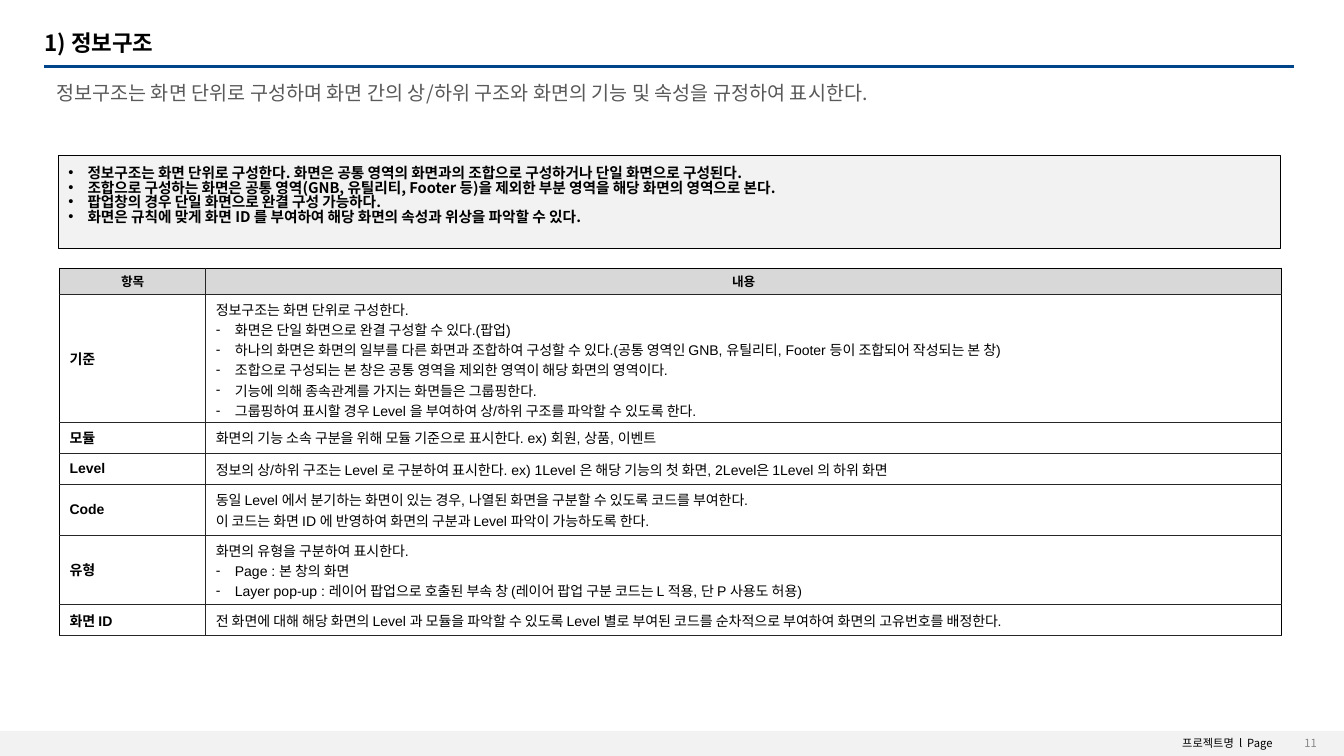
from lxml import etree
from pptx import Presentation
from pptx.dml.color import RGBColor
from pptx.enum.shapes import MSO_CONNECTOR, MSO_SHAPE
from pptx.enum.text import MSO_ANCHOR, PP_ALIGN
from pptx.oxml.ns import qn
from pptx.util import Inches, Pt

LEFT, CENTER, RIGHT = PP_ALIGN.LEFT, PP_ALIGN.CENTER, PP_ALIGN.RIGHT
TOP, MIDDLE = MSO_ANCHOR.TOP, MSO_ANCHOR.MIDDLE
RECT, STRAIGHT = MSO_SHAPE.RECTANGLE, MSO_CONNECTOR.STRAIGHT
FONT = "Noto Sans CJK KR"
BLACK, EDGE, PALE = "000000", "262626", "F2F2F2"


def rgb(code):
    return RGBColor.from_string(code)


def write(box, text, size=10, color=BLACK, bold=False, font=FONT, align=LEFT,
          anchor=TOP, space=None, pad=(0.1, 0.05, 0.1, 0.05), mark="-"):
    """Fill a shape or cell; lines that start with "- " become bullets."""
    frame = box.text_frame
    frame.word_wrap = True
    body = box if hasattr(box, "margin_left") else frame
    body.vertical_anchor = anchor
    (body.margin_left, body.margin_top,
     body.margin_right, body.margin_bottom) = [Inches(p) for p in pad]
    for i, line in enumerate(text.split("\n")):
        para = frame.add_paragraph() if i else frame.paragraphs[0]
        if line.startswith("- "):
            line = line[2:]
            props = para._p.get_or_add_pPr()
            props.set("marL", str(Inches(0.19)))
            props.set("indent", str(-Inches(0.19)))
            tint = etree.SubElement(props, qn("a:buClr"))
            etree.SubElement(tint, qn("a:srgbClr")).set("val", BLACK)
            etree.SubElement(props, qn("a:buFont")).set("typeface", "Arial")
            etree.SubElement(props, qn("a:buChar")).set("char", mark)
        para.alignment = align
        if space:
            para.line_spacing = space
        run = para.add_run()
        run.text = line
        run.font.size, run.font.bold, run.font.name = Pt(size), bold, font
        run.font.color.rgb = rgb(color)
        etree.SubElement(run._r.rPr, qn("a:ea")).set("typeface", FONT)


deck = Presentation()
deck.slide_width, deck.slide_height = Inches(13.33), Inches(7.5)
slide = deck.slides.add_slide(deck.slide_layouts[5])
shapes = slide.shapes

# Footer band and page number
band = shapes.add_shape(RECT, Inches(0), Inches(7.25), Inches(13.33), Inches(0.25))
band.shadow.inherit = False
band.fill.solid()
band.fill.fore_color.rgb = rgb(PALE)
band.line.fill.background()
foot = shapes.add_textbox(Inches(10), Inches(7.26), Inches(2.72), Inches(0.24))
write(foot, "프로젝트명  l  Page", size=8, align=RIGHT)
page = shapes.add_textbox(Inches(12.46), Inches(7.3), Inches(0.7), Inches(0.15))
write(page, "11", size=8, color="888888", align=RIGHT, anchor=MIDDLE)

# Title, rule and subtitle
title = shapes.title
title.left, title.top = Inches(0.34), Inches(0.28)
title.width, title.height = Inches(12.37), Inches(0.31)
write(title, "1) 정보구조", size=16, bold=True, anchor=MIDDLE, space=0.9)
rule = shapes.add_connector(STRAIGHT, Inches(0.44), Inches(0.66),
                            Inches(12.83), Inches(0.66))
rule.line.color.rgb = rgb("00458A")
rule.line.width = Pt(2.25)
etree.SubElement(rule._element.spPr, qn("a:effectLst"))
lead = shapes.add_textbox(Inches(0.46), Inches(0.78), Inches(12.37), Inches(0.44))
write(lead, "정보구조는 화면 단위로 구성하며 화면 간의 상/하위 구조와 화면의 기능 및 속성을 규정하여 표시한다.",
      size=14, color="595959", space=0.9)

# Summary box
note = shapes.add_shape(RECT, Inches(0.58), Inches(1.54), Inches(12.12), Inches(0.93))
note.shadow.inherit = False
note.fill.solid()
note.fill.fore_color.rgb = rgb(PALE)
note.line.color.rgb = rgb(BLACK)
note.line.width = Pt(0.75)
write(note, """- 정보구조는 화면 단위로 구성한다. 화면은 공통 영역의 화면과의 조합으로 구성하거나 단일 화면으로 구성된다.
- 조합으로 구성하는 화면은 공통 영역(GNB, 유틸리티, Footer 등)을 제외한 부분 영역을 해당 화면의 영역으로 본다.
- 팝업창의 경우 단일 화면으로 완결 구성 가능하다.
- 화면은 규칙에 맞게 화면 ID 를 부여하여 해당 화면의 속성과 위상을 파악할 수 있다.""",
      size=10.5, bold=True, space=0.82, pad=(0.1, 0.12, 0.1, 0.05), mark="•")

# Table: row height, item, content
ROWS = [
    (0.26, "항목", "내용"),
    (1.27, "기준", """정보구조는 화면 단위로 구성한다.
- 화면은 단일 화면으로 완결 구성할 수 있다.(팝업)
- 하나의 화면은 화면의 일부를 다른 화면과 조합하여 구성할 수 있다.(공통 영역인 GNB, 유틸리티, Footer 등이 조합되어 작성되는 본 창)
- 조합으로 구성되는 본 창은 공통 영역을 제외한 영역이 해당 화면의 영역이다.
- 기능에 의해 종속관계를 가지는 화면들은 그룹핑한다.
- 그룹핑하여 표시할 경우 Level 을 부여하여 상/하위 구조를 파악할 수 있도록 한다."""),
    (0.31, "모듈", "화면의 기능 소속 구분을 위해 모듈 기준으로 표시한다. ex) 회원, 상품, 이벤트"),
    (0.31, "Level", "정보의 상/하위 구조는 Level 로 구분하여 표시한다. "
     "ex) 1Level 은 해당 기능의 첫 화면, 2Level은 1Level 의 하위 화면"),
    (0.5, "Code", """동일 Level 에서 분기하는 화면이 있는 경우, 나열된 화면을 구분할 수 있도록 코드를 부여한다.
이 코드는 화면 ID 에 반영하여 화면의 구분과 Level 파악이 가능하도록 한다."""),
    (0.69, "유형", """화면의 유형을 구분하여 표시한다.
- Page : 본 창의 화면
- Layer pop-up : 레이어 팝업으로 호출된 부속 창 (레이어 팝업 구분 코드는 L 적용, 단 P 사용도 허용)"""),
    (0.31, "화면 ID", "전 화면에 대해 해당 화면의 Level 과 모듈을 파악할 수 있도록 "
     "Level 별로 부여된 코드를 순차적으로 부여하여 화면의 고유번호를 배정한다."),
]
table = shapes.add_table(len(ROWS), 2, Inches(0.59), Inches(2.66),
                         Inches(12.12), Inches(3.64)).table
table.first_row = table.horz_banding = False
table.columns[0].width, table.columns[1].width = Inches(1.45), Inches(10.67)

for r, (height, *texts) in enumerate(ROWS):
    table.rows[r].height = Inches(height)
    for c, text in enumerate(texts):
        cell = table.cell(r, c)
        if r == 0:
            write(cell, text, size=9, bold=True, align=CENTER, anchor=MIDDLE,
                  pad=(0.04,) * 4)
        else:
            write(cell, text, font="Arial", bold=c == 0, anchor=MIDDLE)
        # Borders come before the fill in the cell properties
        props = cell._tc.get_or_add_tcPr()
        outer = {"L": c == 0, "R": c == 1, "T": r == 0, "B": False}
        for side, dark in outer.items():
            edge = etree.SubElement(props, qn("a:ln" + side))
            edge.set("w", str(Pt(0.75)))
            paint = etree.SubElement(edge, qn("a:solidFill"))
            etree.SubElement(paint, qn("a:srgbClr")).set("val", BLACK if dark else EDGE)
        if r and c == 0:
            cell.fill.background()
        else:
            cell.fill.solid()
            cell.fill.fore_color.rgb = rgb("FFFFFF" if r else "D8D8D8")

deck.save("out.pptx")
